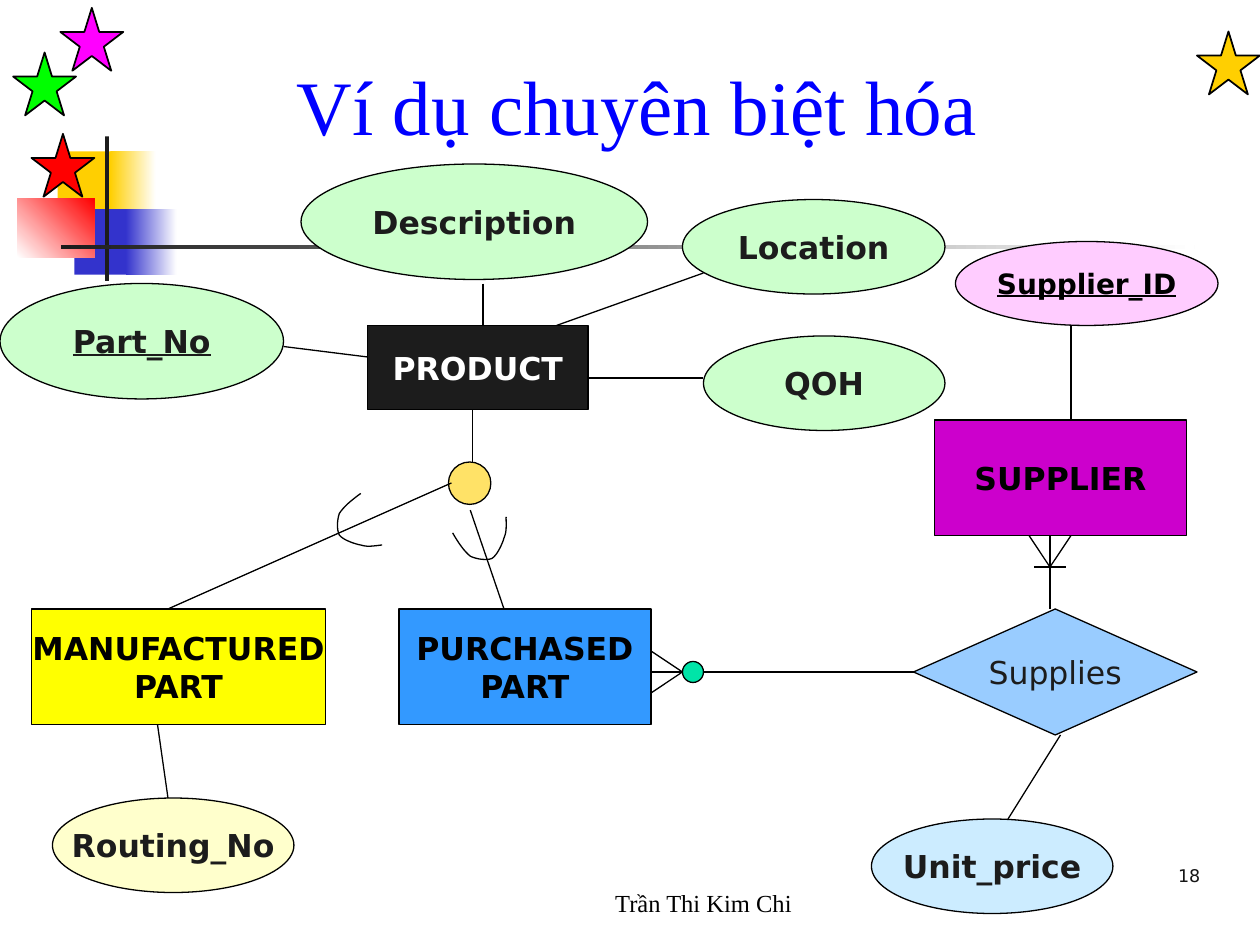
import dataclasses

import pptx
import pptx.dml.color
import pptx.enum.shapes
import pptx.enum.text
import pptx.oxml.ns
import pptx.util
from lxml import etree

Pt = pptx.util.Pt
Preset = pptx.enum.shapes.MSO_SHAPE
Align = pptx.enum.text.PP_ALIGN
Anchor = pptx.enum.text.MSO_ANCHOR


@dataclasses.dataclass(frozen=True)
class Theme:
    sans: str = "DejaVu Sans"
    serif: str = "Times New Roman"
    title_size: int = 44
    label_size: int = 18
    key_size: int = 16
    footer_size: int = 14
    number_size: int = 10
    black: str = "000000"
    white: str = "FFFFFF"
    ink: str = "1C1C1C"
    number: str = "151515"
    title: str = "0000FF"
    gold: str = "FFCF01"
    indigo: str = "3333CC"
    red: str = "FF0000"
    lime: str = "00FF00"
    magenta: str = "FF00FF"
    product_attribute: str = "CCFFCC"
    supplier_attribute: str = "FFCCFF"
    part_attribute: str = "FFFFCC"
    price_attribute: str = "CCECFF"
    manufactured: str = "FFFF00"
    purchased: str = "3399FF"
    supplier: str = "CC00CC"
    relationship: str = "99CCFF"
    subtype: str = "FFE267"
    optional: str = "00E4A8"


THEME = Theme()


def rgb(value):
    return pptx.dml.color.RGBColor.from_string(value)


def write_text(shape, text, *, size=THEME.label_size, font=THEME.sans, color=THEME.ink,
               bold=False, underline=False, align=Align.CENTER, anchor=Anchor.MIDDLE, wrap=False):
    """Fill the shape with one paragraph for each line of text."""
    frame = shape.text_frame
    frame.text = text
    frame.auto_size = pptx.enum.text.MSO_AUTO_SIZE.NONE
    frame.word_wrap = wrap
    frame.vertical_anchor = anchor
    for paragraph in frame.paragraphs:
        paragraph.alignment = align
        run_font = paragraph.runs[0].font
        run_font.name, run_font.size = font, Pt(size)
        run_font.bold, run_font.underline = bold, underline
        run_font.color.rgb = rgb(color)


def bezier_points(start, curves, steps=8):
    """Sample a chain of cubic curves, each given as two controls and an end."""
    points = [start]
    for first, second, end in curves:
        for step in range(1, steps + 1):
            t = step / steps
            weights = ((1 - t) ** 3, 3 * t * (1 - t) ** 2, 3 * t * t * (1 - t), t ** 3)
            corners = (start, first, second, end)
            points.append(tuple(sum(w * corner[axis] for w, corner in zip(weights, corners))
                                for axis in (0, 1)))
        start = end
    return points


SUBSET_ARC = bezier_points((13.7, 0), [
    ((8.6, 3.6), (3.6, 7.9), (1.4, 11.5)),
    ((0, 15.8), (0, 20.9), (1.4, 23.8)),
    ((3.6, 26.6), (10, 28.8), (13.7, 29.5)),
    ((18, 31), (23.8, 29.5), (25.9, 29.5)),
])


class DiagramSlide:
    def __init__(self, slide, theme):
        self.slide, self.theme = slide, theme

    def outline(self, shape, width=0.75):
        shape.line.color.rgb = rgb(self.theme.black)
        shape.line.width = Pt(width)

    def shape(self, preset, box, fill, line_width=0.75):
        shape = self.slide.shapes.add_shape(preset, *map(Pt, box))
        shape.shadow.inherit = False
        shape.fill.solid()
        shape.fill.fore_color.rgb = rgb(fill)
        if line_width:
            self.outline(shape, line_width)
        else:
            shape.line.fill.background()
        return shape

    def gradient(self, box, colors, angle=0):
        shape = self.shape(Preset.RECTANGLE, box, colors[0], line_width=0)
        shape.fill.gradient()
        shape.fill.gradient_angle = angle
        for stop, color in zip(shape.fill.gradient_stops, colors):
            stop.color.rgb = rgb(color)

    def node(self, preset, text, box, fill, **text_format):
        shape = self.shape(preset, box, fill)
        write_text(shape, text, **text_format)
        return shape

    def entity(self, text, box, fill, color=THEME.black):
        return self.node(Preset.RECTANGLE, text, box, fill, color=color, bold=True)

    def attribute(self, text, box, fill, **text_format):
        return self.node(Preset.OVAL, text, box, fill, bold=True, **text_format)

    def line(self, *ends):
        connector = self.slide.shapes.add_connector(
            pptx.enum.shapes.MSO_CONNECTOR.STRAIGHT, *map(Pt, ends))
        self.outline(connector)
        etree.SubElement(connector._element.spPr, pptx.oxml.ns.qn("a:effectLst"))
        return connector

    def arc(self, left, top, rotation=0):
        points = [(Pt(left + x), Pt(top + y)) for x, y in SUBSET_ARC]
        builder = self.slide.shapes.build_freeform(*points[0])
        builder.add_line_segments(points[1:], close=False)
        shape = builder.convert_to_shape()
        shape.shadow.inherit = False
        shape.fill.background()
        shape.rotation = rotation
        self.outline(shape)

    def title(self, text, box):
        shape = self.slide.shapes.title
        shape.left, shape.top, shape.width, shape.height = map(Pt, box)
        write_text(shape, text, size=self.theme.title_size, font=self.theme.serif,
                   color=self.theme.title, anchor=Anchor.BOTTOM, wrap=True)

    def caption(self, text, box, **text_format):
        shape = self.slide.shapes.add_textbox(*map(Pt, box))
        write_text(shape, text, anchor=Anchor.BOTTOM, wrap=True, **text_format)


def draw_decoration(page):
    theme = page.theme
    page.shape(Preset.RECTANGLE, (33, 86.5, 34.5, 37.5), theme.gold, 0)
    page.gradient((63, 86.5, 26, 37.5), (theme.gold, theme.white))
    page.shape(Preset.RECTANGLE, (42.5, 119.5, 33, 37.5), theme.indigo, 0)
    page.gradient((72, 119.5, 29, 37.5), (theme.indigo, theme.white))
    page.gradient((10, 113.5, 44, 33.5), (theme.white, theme.red), angle=45)
    page.shape(Preset.RECTANGLE, (60, 78, 2.25, 82.5), theme.ink, 0)
    page.gradient((34.75, 140, 648, 2.5), (theme.ink, theme.white))
    for left, top, color in ((684, 18, theme.gold), (18, 76.5, theme.red),
                             (7.5, 30, theme.lime), (34.5, 4.5, theme.magenta)):
        page.shape(Preset.STAR_5_POINT, (left, top, 36, 36), color, 1)


def draw_diagram(page):
    theme = page.theme
    page.entity("PRODUCT", (210, 186, 126, 48), theme.ink, color=theme.white)
    page.entity("MANUFACTURED\nPART", (18, 348, 168, 66), theme.manufactured)
    page.entity("PURCHASED\nPART", (228, 348, 144, 66), theme.purchased)
    page.entity("SUPPLIER", (534, 240, 144, 66), theme.supplier)
    supplies = page.node(Preset.DIAMOND, "Supplies", (522, 348, 162, 72), theme.relationship)

    page.attribute("Description", (172, 93.75, 198, 66), theme.product_attribute)
    page.attribute("Location", (390, 114, 150, 54), theme.product_attribute)
    page.attribute("QOH", (402, 192, 138, 54), theme.product_attribute)
    page.attribute("Part_No", (0, 162, 162, 66), theme.product_attribute, underline=True)
    page.attribute("Routing_No", (30, 456, 138, 54), theme.part_attribute)
    page.attribute("Supplier_ID", (546, 138, 150, 48), theme.supplier_attribute,
                   size=theme.key_size, color=theme.black, underline=True)
    page.attribute("Unit_price", (498, 468, 138, 54), theme.price_attribute)

    page.shape(Preset.OVAL, (256.25, 264, 24.25, 24.25), theme.subtype)
    page.arc(192.5, 282)
    page.arc(260.5, 291.5, rotation=275.8)

    product_links = ((276, 162, 276, 186), (402, 156, 318, 186),
                     (402, 216, 336, 216), (162, 198, 210, 204))
    subtype_links = ((270, 234, 270, 264), (258, 276, 96, 348), (268.75, 291.5, 288, 348))
    other_links = ((90, 414, 96, 456), (612, 186, 612, 240),
                   (600, 306, 600, 348), (606, 420, 576, 468))
    crow_feet = ((372, 372, 390, 384), (390, 384, 372, 396),
                 (588, 306, 600, 324), (612, 306, 600, 324), (591, 324, 609, 324))
    for ends in product_links + subtype_links + other_links + crow_feet:
        page.line(*ends)
    page.line(372, 384, 522, 384).end_connect(supplies, 1)
    page.shape(Preset.OVAL, (390, 378, 12, 12), theme.optional)


def main():
    presentation = pptx.Presentation()
    presentation.slide_width, presentation.slide_height = Pt(720), Pt(540)
    page = DiagramSlide(presentation.slides.add_slide(presentation.slide_layouts[5]), THEME)
    draw_decoration(page)
    page.title("Ví dụ chuyên biệt hóa", (42, 30, 644, 60))
    draw_diagram(page)
    page.caption("18", (657, 481, 36, 29), size=THEME.number_size,
                 color=THEME.number, align=Align.RIGHT)
    page.caption("Trần Thi Kim Chi", (288, 492, 228, 36), size=THEME.footer_size,
                 font=THEME.serif, color=THEME.black)
    presentation.save("out.pptx")


if __name__ == "__main__":
    main()
